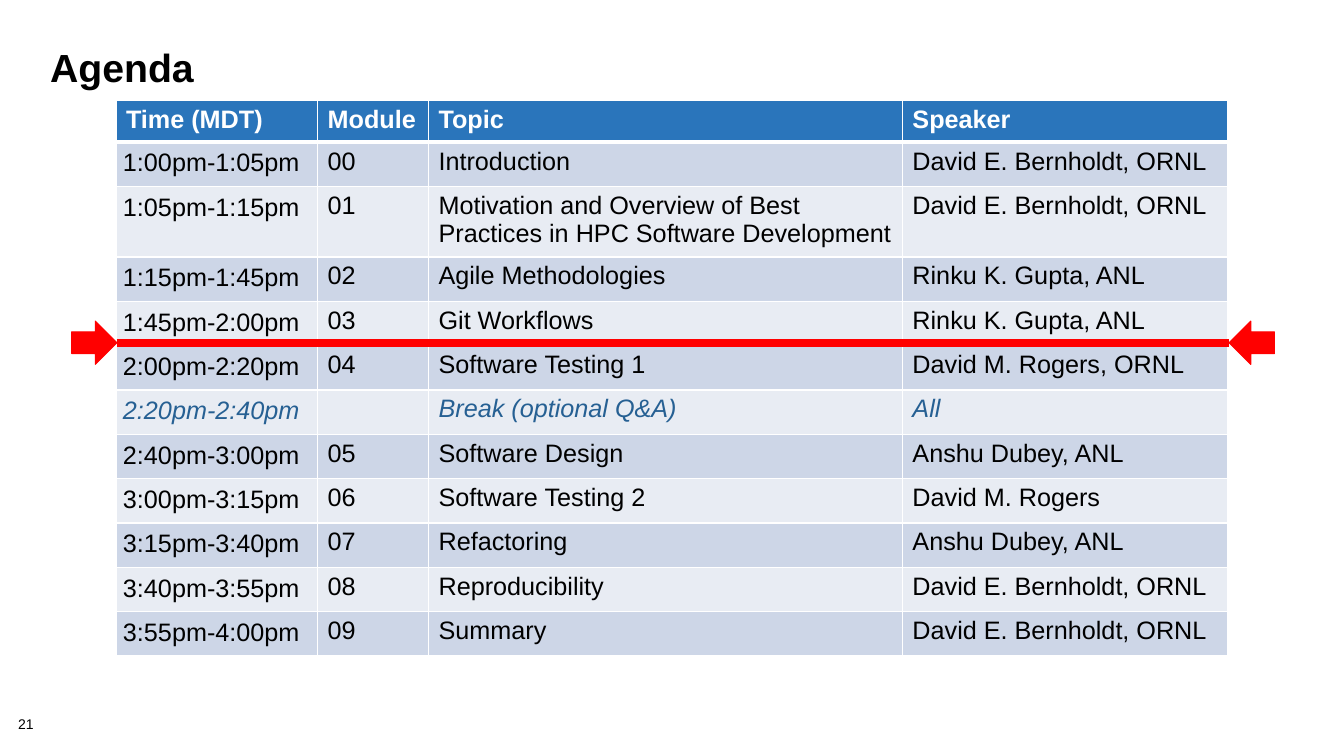
import pptx
import pptx.util
import pptx.dml.color
import pptx.enum.shapes
import lxml.etree

Inches, Pt = pptx.util.Inches, pptx.util.Pt

# Content
TITLE = "Agenda"
PAGE_NUMBER = "21"
HEADINGS = ("Time (MDT)", "Module", "Topic", "Speaker")
SESSIONS = [
    ("1:00pm-1:05pm", "00", "Introduction", "David E. Bernholdt, ORNL"),
    ("1:05pm-1:15pm", "01",
     "Motivation and Overview of Best Practices in HPC Software Development",
     "David E. Bernholdt, ORNL"),
    ("1:15pm-1:45pm", "02", "Agile Methodologies", "Rinku K. Gupta, ANL"),
    ("1:45pm-2:00pm", "03", "Git Workflows", "Rinku K. Gupta, ANL"),
    ("2:00pm-2:20pm", "04", "Software Testing 1", "David M. Rogers, ORNL"),
    ("2:20pm-2:40pm", "", "Break (optional Q&A)", "All"),
    ("2:40pm-3:00pm", "05", "Software Design", "Anshu Dubey, ANL"),
    ("3:00pm-3:15pm", "06", "Software Testing 2", "David M. Rogers"),
    ("3:15pm-3:40pm", "07", "Refactoring", "Anshu Dubey, ANL"),
    ("3:40pm-3:55pm", "08", "Reproducibility", "David E. Bernholdt, ORNL"),
    ("3:55pm-4:00pm", "09", "Summary", "David E. Bernholdt, ORNL"),
]
COLORS = {"text": "000000", "white": "FFFFFF", "header": "2A75BB",
          "odd": "CDD6E7", "even": "E8ECF3", "break": "266093", "marker": "FF0000"}

# Layout, in inches
COLUMN_WIDTHS = (2, 1.1, 4.7, 3.23)
ROW_HEIGHT = 0.41
TABLE_LEFT, TABLE_TOP = 1.15, 1
MARKER_LEFT, MARKER_RIGHT, MARKER_Y = 1.16, 12.19, 3.4
ARROW_WIDTH, ARROW_HEIGHT = 0.45, 0.43


def rgb(name):
    return pptx.dml.color.RGBColor.from_string(COLORS[name])


def write(frame, text, size=18, color="text", bold=False, italic=False, spacing=None):
    paragraph = frame.paragraphs[0]
    if spacing:
        paragraph.line_spacing = spacing
    run = paragraph.add_run()
    run.text = text
    font = run.font
    font.name, font.size, font.bold, font.italic = "Arial", Pt(size), bold, italic
    font.color.rgb = rgb(color)


def add_text(slide, box, text, inset, **text_format):
    frame = slide.shapes.add_textbox(*map(Inches, box)).text_frame
    frame.word_wrap = True
    frame.margin_left = frame.margin_right = Inches(inset)
    frame.margin_top = frame.margin_bottom = Inches(inset / 2)
    write(frame, text, **text_format)


def set_borders(cell, top, bottom):
    properties = cell._tc.get_or_add_tcPr()
    widths = {"lnL": 1, "lnR": 1, "lnT": top, "lnB": bottom}
    for index, (side, width) in enumerate(widths.items()):
        border = pptx.oxml.parse_xml(
            f'<a:{side} xmlns:a="http://schemas.openxmlformats.org/drawingml/2006/main"'
            f' w="{Pt(width)}"><a:solidFill><a:srgbClr val="{COLORS["white"]}"/>'
            f'</a:solidFill></a:{side}>')
        properties.insert(index, border)


def add_agenda(slide):
    rows = [HEADINGS] + SESSIONS
    agenda = slide.shapes.add_table(
        len(rows), len(HEADINGS), Inches(TABLE_LEFT), Inches(TABLE_TOP),
        Inches(sum(COLUMN_WIDTHS)), Inches(ROW_HEIGHT * len(rows))).table
    for column, width in zip(agenda.columns, COLUMN_WIDTHS):
        column.width = Inches(width)
    for r, row in enumerate(rows):
        agenda.rows[r].height = Inches(ROW_HEIGHT)
        is_header, is_break = r == 0, row[2].startswith("Break")
        fill = "header" if is_header else "odd" if r % 2 else "even"
        color = "white" if is_header else "break" if is_break else "text"
        for c, text in enumerate(row):
            cell = agenda.cell(r, c)
            cell.fill.solid()
            cell.fill.fore_color.rgb = rgb(fill)
            set_borders(cell, top=3 if r == 1 else 1, bottom=3 if is_header else 1)
            if c == 0 and not is_header:
                cell.margin_left = cell.margin_right = Inches(0.07)
                cell.margin_top = cell.margin_bottom = Inches(0.07)
            write(cell.text_frame, text, color=color, bold=is_header, italic=is_break)


def add_marker(slide):
    line = slide.shapes.add_connector(
        pptx.enum.shapes.MSO_CONNECTOR.STRAIGHT, Inches(MARKER_LEFT), Inches(MARKER_Y),
        Inches(MARKER_RIGHT), Inches(MARKER_Y))
    line.line.color.rgb = rgb("marker")
    line.line.width = Pt(6)
    lxml.etree.SubElement(line._element.spPr, pptx.oxml.ns.qn("a:effectLst"))

    # Arrows pointing inwards at both ends
    for left, rotation in ((MARKER_LEFT - ARROW_WIDTH, 0), (MARKER_RIGHT, 180)):
        arrow = slide.shapes.add_shape(
            pptx.enum.shapes.MSO_SHAPE.RIGHT_ARROW, Inches(left),
            Inches(MARKER_Y - ARROW_HEIGHT / 2), Inches(ARROW_WIDTH), Inches(ARROW_HEIGHT))
        arrow.rotation = rotation
        arrow.shadow.inherit = False
        arrow.fill.solid()
        arrow.fill.fore_color.rgb = rgb("marker")
        arrow.line.color.rgb = rgb("marker")
        arrow.line.width = Pt(0.75)


def main():
    deck = pptx.Presentation()
    deck.slide_width, deck.slide_height = Inches(13.33), Inches(7.5)
    slide = deck.slides.add_slide(deck.slide_layouts[6])
    add_text(slide, (0.18, 7.12, 0.56, 0.16), PAGE_NUMBER, 0, size=10, spacing=0.9)
    add_text(slide, (0.4, 0.45, 12.44, 1), TITLE, 0.1, size=28, bold=True, spacing=0.85)
    add_agenda(slide)
    add_marker(slide)
    deck.save("out.pptx")


if __name__ == "__main__":
    main()
